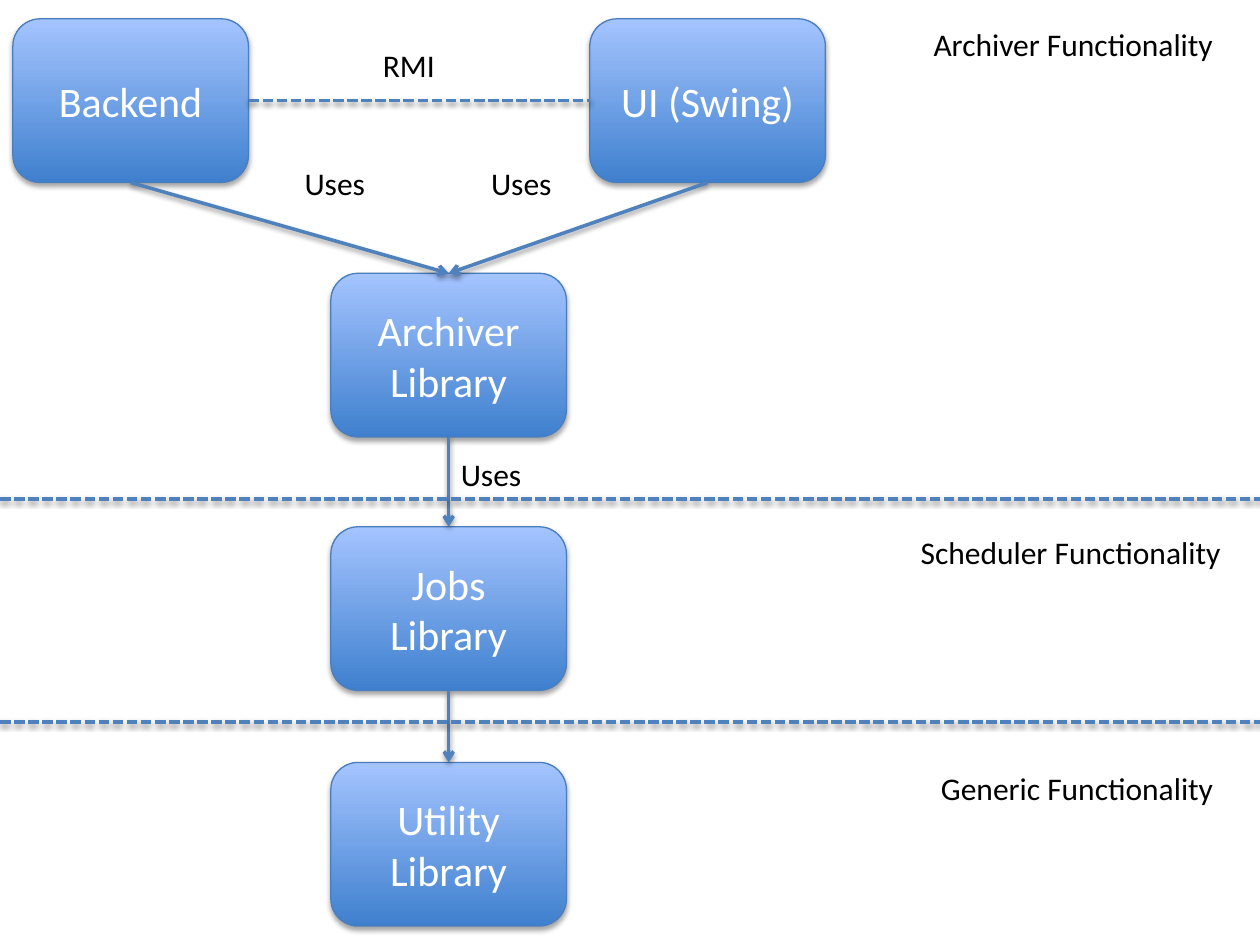
from lxml import etree
from pptx import Presentation
from pptx.dml.color import RGBColor
from pptx.enum import dml, shapes, text
from pptx.oxml.ns import qn
from pptx.util import Cm, Pt

W, H = 25.4, 19.05
BOX_W, BOX_H = 4.75, 3.3
COLUMN_X = 6.67
TOP, LEFT, BOTTOM, RIGHT = range(4)


def rgb(value):
    return RGBColor.from_string(value)


def add_shadow(sp, alpha, dist):
    sp_pr = sp._element.spPr
    for old in sp_pr.findall(qn("a:effectLst")):
        sp_pr.remove(old)
    effects = etree.SubElement(sp_pr, qn("a:effectLst"))
    shadow = etree.SubElement(effects, qn("a:outerShdw"), blurRad=str(Pt(3.1)),
                              dist=str(Pt(dist)), dir="5400000", rotWithShape="0")
    color = etree.SubElement(shadow, qn("a:srgbClr"), val="000000")
    etree.SubElement(color, qn("a:alpha"), val=str(alpha * 1000))


def format_text(tf, caption, size, color):
    tf.text = caption
    p = tf.paragraphs[0]
    font = p.runs[0].font
    font.name, font.size = "Calibri", Pt(size)
    font.color.rgb = rgb(color)
    return p


def add_box(s, x, y, caption):
    sp = s.shapes.add_shape(shapes.MSO_SHAPE.ROUNDED_RECTANGLE,
                            Cm(x), Cm(y), Cm(BOX_W), Cm(BOX_H))
    sp.fill.gradient()
    sp.fill.gradient_angle = 90
    for stop, color, position in zip(sp.fill.gradient_stops, ("3F80CE", "A4C4FF"), (0, 1)):
        stop.color.rgb = rgb(color)
        stop.position = position
    sp.line.color.rgb = rgb("4B7EBC")
    sp.line.width = Pt(0.75)
    add_shadow(sp, 35, 1.8)
    tf = sp.text_frame
    tf.word_wrap = True
    tf.vertical_anchor = text.MSO_ANCHOR.MIDDLE
    format_text(tf, caption, 24, "FFFFFF").alignment = text.PP_ALIGN.CENTER
    return sp


def add_label(s, x, y, w, caption):
    sp = s.shapes.add_textbox(Cm(x), Cm(y), Cm(w), Cm(1.03))
    tf = sp.text_frame
    tf.word_wrap = False
    tf.auto_size = text.MSO_AUTO_SIZE.SHAPE_TO_FIT_TEXT
    format_text(tf, caption, 18, "000000")


def add_line(s, x1, y1, x2, y2):
    return s.shapes.add_connector(shapes.MSO_CONNECTOR.STRAIGHT,
                                  Cm(x1), Cm(y1), Cm(x2), Cm(y2))


def style_line(line, dashed):
    line.line.color.rgb = rgb("4F81BD")
    line.line.width = Pt(2)
    if dashed:
        line.line.dash_style = dml.MSO_LINE.SQUARE_DOT
    else:
        etree.SubElement(line.line._get_or_add_ln(), qn("a:tailEnd"), type="arrow")
    add_shadow(line, 38, 1.6)


def join(s, start, start_site, end, end_site, dashed=False):
    line = add_line(s, 0, 0, 1, 1)
    line.begin_connect(start, start_site)
    line.end_connect(end, end_site)
    style_line(line, dashed)


def add_divider(s, y):
    style_line(add_line(s, 0, y, W, y), True)


def archiver_band(s, y):
    backend = add_box(s, 0.26, y, "Backend")
    ui = add_box(s, 11.89, y, "UI (Swing)")
    library = add_box(s, COLUMN_X, y + 5.13, "Archiver Library")
    join(s, backend, RIGHT, ui, LEFT, dashed=True)
    for user in (backend, ui):
        join(s, user, BOTTOM, library, TOP)
    add_label(s, 7.47, y + 0.43, 1.57, "RMI")
    for x, dy in ((5.89, 2.8), (9.65, 2.8), (9.04, 8.66)):
        add_label(s, x, y + dy, 1.75, "Uses")
    add_label(s, 18.57, y, 6.22, "Archiver Functionality")
    return library


def library_band(s, y, caption, user, title, title_x, title_w):
    library = add_box(s, COLUMN_X, y, caption)
    join(s, user, BOTTOM, library, TOP)
    add_label(s, title_x, y, title_w, title)
    return library


prs = Presentation()
prs.slide_width, prs.slide_height = Cm(W), Cm(H)
s = prs.slides.add_slide(prs.slide_layouts[6])

archiver = archiver_band(s, 0.38)
jobs = library_band(s, 10.62, "Jobs Library", archiver,
                    "Scheduler Functionality", 18.31, 6.63)
library_band(s, 15.37, "Utility Library", jobs,
             "Generic Functionality", 18.72, 6.05)
for y in (10.06, 14.55):
    add_divider(s, y)

prs.save("out.pptx")
